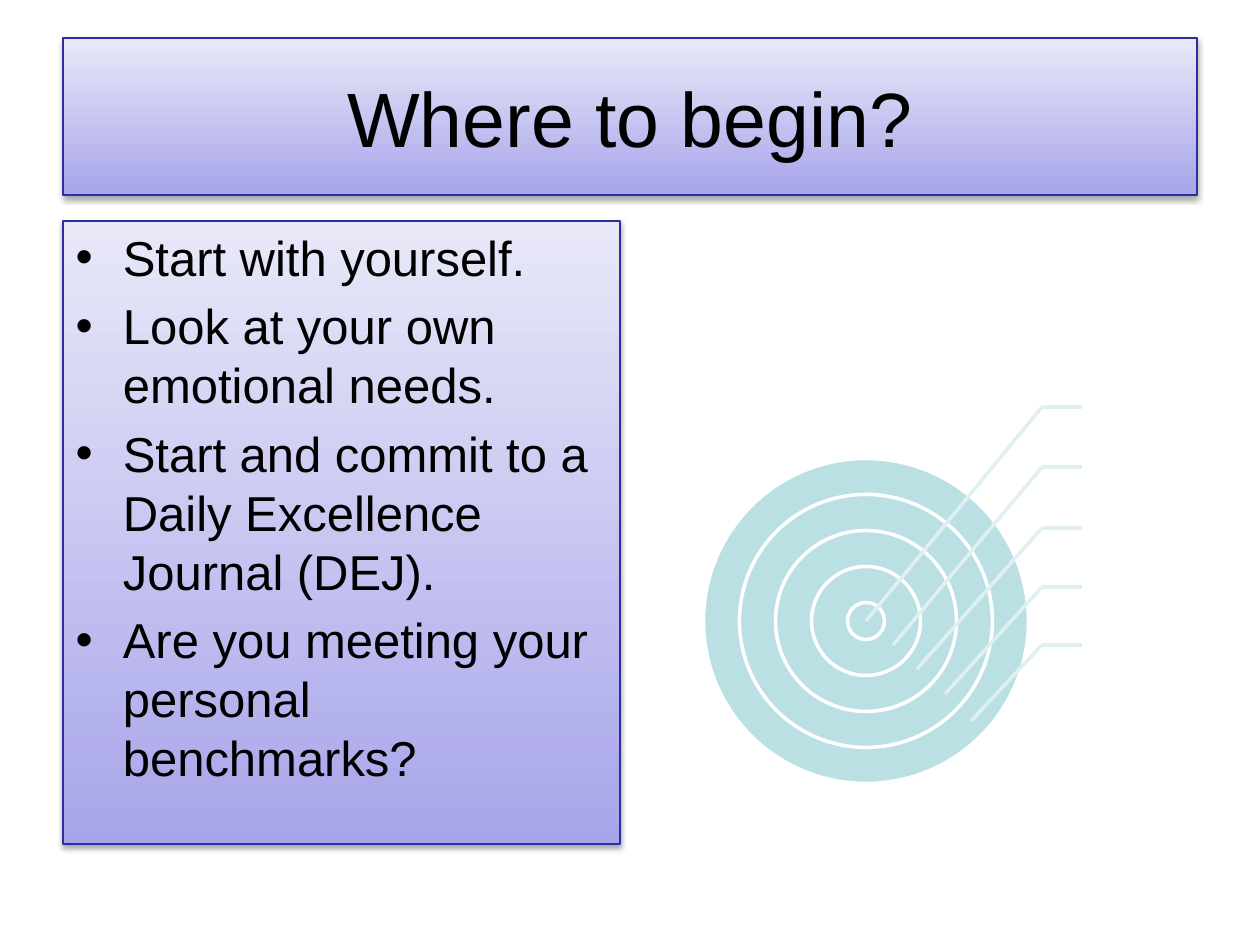
"""Build the "Where to begin?" slide with a list and a ringed target."""
from lxml import etree
from pptx import Presentation
from pptx.dml.color import RGBColor
from pptx.enum.shapes import MSO_CONNECTOR, MSO_SHAPE
from pptx.enum.text import MSO_ANCHOR, MSO_AUTO_SIZE, PP_ALIGN
from pptx.oxml import parse_xml
from pptx.oxml.ns import qn
from pptx.util import Pt

LINE = MSO_CONNECTOR.STRAIGHT
OVAL = MSO_SHAPE.OVAL
MID, TOP = MSO_ANCHOR.MIDDLE, MSO_ANCHOR.TOP
CENTER, LEFT = PP_ALIGN.CENTER, PP_ALIGN.LEFT
FIXED = MSO_AUTO_SIZE.NONE

BLACK = RGBColor(0x00, 0x00, 0x00)
WHITE = RGBColor(0xFF, 0xFF, 0xFF)
PALE = RGBColor(0xE8, 0xE8, 0xF8)
LILAC = RGBColor(0xA8, 0xA5, 0xEA)
NAVY = RGBColor(0x2D, 0x2D, 0x9F)
TEAL = RGBColor(0xBB, 0xE0, 0xE3)
MIST = RGBColor(0xE0, 0xF0, 0xF2)

SHADOW = (
    '<a:effectLst xmlns:a="http://schemas.openxmlformats.org/drawingml/2006/main">'
    '<a:outerShdw blurRad="40000" dist="23000" dir="5400000" rotWithShape="0">'
    '<a:srgbClr val="000000"><a:alpha val="35000"/></a:srgbClr>'
    '</a:outerShdw></a:effectLst>'
)


def px(*nums):
    return [round(n * 914400 / 126) for n in nums]


deck = Presentation()
deck.slide_width, deck.slide_height = px(1260, 945)
slide = deck.slides.add_slide(deck.slide_layouts[1])
shapes = slide.shapes

panels = [
    (shapes.title, (63, 38, 1134, 157), 44, MID, CENTER, ["Where to begin?"]),
    (slide.placeholders[1], (63, 221, 557, 623), 28, TOP, LEFT, [
        "Start with yourself.",
        "Look at your own emotional needs.",
        "Start and commit to a Daily Excellence Journal (DEJ).",
        "Are you meeting your personal benchmarks?",
    ]),
]
for panel, box, size, anchor, align, lines in panels:
    panel.left, panel.top, panel.width, panel.height = px(*box)
    fill = panel.fill
    fill.gradient()
    fill.gradient_angle = 270
    for stop, color in zip(fill.gradient_stops, (PALE, LILAC)):
        stop.color.rgb = color
    panel.line.color.rgb = NAVY
    panel.line.width = Pt(0.75)
    panel._element.spPr.append(parse_xml(SHADOW))
    frame = panel.text_frame
    frame.text = "\n".join(lines)
    for name, value in {"auto_size": FIXED, "word_wrap": True,
                        "vertical_anchor": anchor}.items():
        setattr(frame, name, value)
    for para in frame.paragraphs:
        para.alignment = align
        font = para.runs[0].font
        for name, value in {"name": "Arial", "size": Pt(size)}.items():
            setattr(font, name, value)
        font.color.rgb = BLACK

target = shapes.add_group_shape().shapes
mid_x, mid_y = 866, 621
for size in range(325, 36, -72):
    ring = target.add_shape(
        OVAL, *px(mid_x - size / 2, mid_y - size / 2, size, size))
    ring.shadow.inherit = False
    ring.fill.solid()
    ring.fill.fore_color.rgb = TEAL
    ring.line.color.rgb = WHITE
    ring.line.width = Pt(2)

bend, end = 1042, 1082
leads = [(407, 866, 621), (467, 893, 645), (528, 917, 669),
         (587, 945, 694), (645, 971, 721)]
for y, tip_x, tip_y in leads:
    for x2, y2 in ((end, y), (tip_x, tip_y)):
        lead = target.add_connector(LINE, *px(bend, y, x2, y2))
        lead.line.color.rgb = MIST
        lead.line.width = Pt(2)
        etree.SubElement(lead._element.spPr, qn("a:effectLst"))

deck.save("out.pptx")
